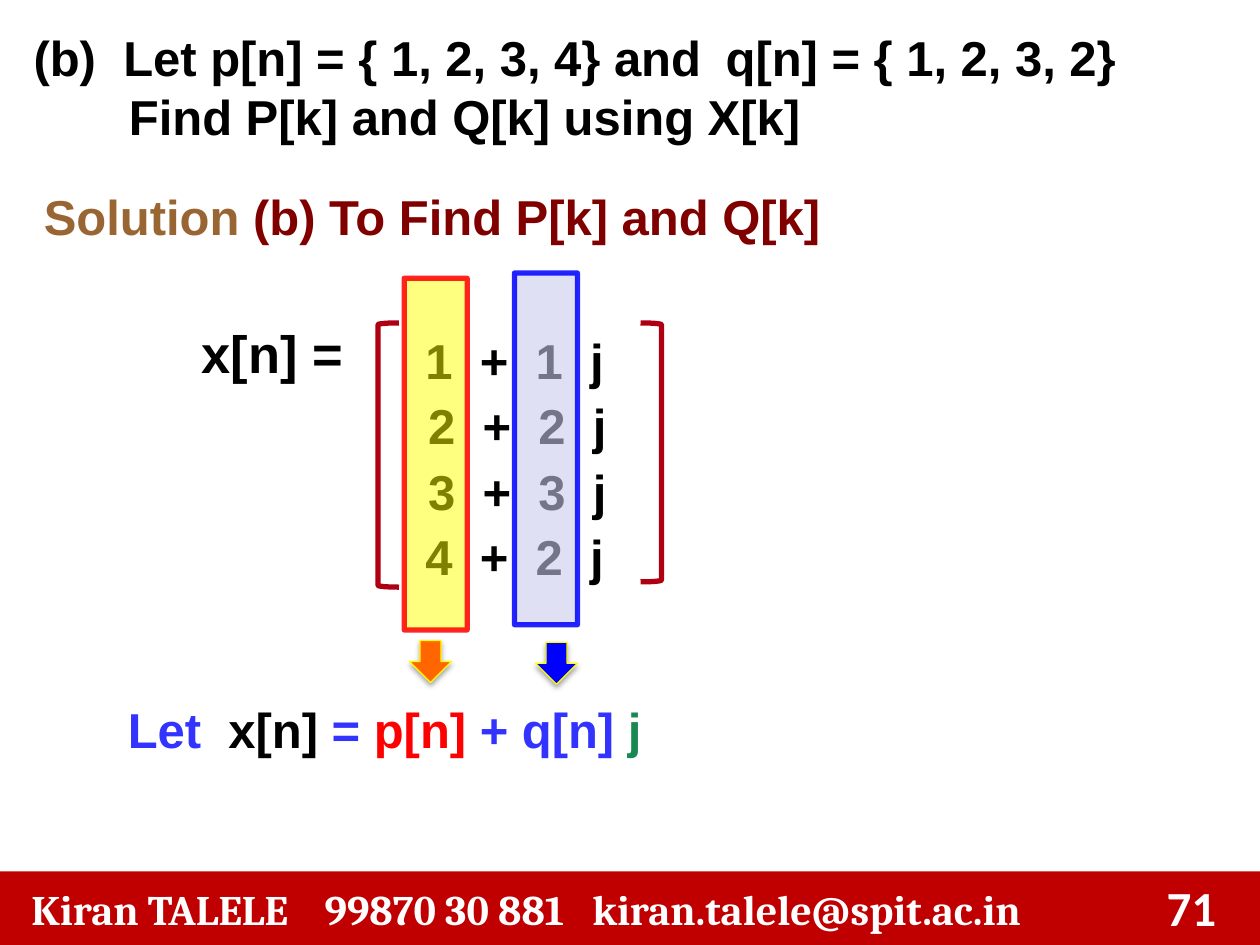
from dataclasses import dataclass

from lxml import etree
from pptx import Presentation
from pptx import util as u
from pptx.dml.color import RGBColor
from pptx.enum import shapes, text
from pptx.oxml.ns import qn

Pt = u.Pt
Kind = shapes.MSO_SHAPE


@dataclass(frozen=True)
class Theme:
    sans: str = "Arial"
    serif: str = "Cambria"
    num: str = "Calibri"
    body: int = 28
    large: int = 30
    small: int = 24
    black: str = "000000"
    white: str = "FFFFFF"
    red: str = "FF0000"
    blue: str = "0000FF"
    violet: str = "3333FF"
    green: str = "198952"
    brown: str = "996633"
    maroon: str = "800000"
    crimson: str = "AF0013"
    footer: str = "C00000"
    orange: str = "FF6600"
    yellow: str = "FFFF00"
    lilac: str = "CBCBEF"


T = Theme()


@dataclass(frozen=True)
class Box:
    x: float
    y: float
    w: float
    h: float

    def pts(self) -> tuple:
        return Pt(self.x), Pt(self.y), Pt(self.w), Pt(self.h)


@dataclass(frozen=True)
class Row:
    x: float
    real: str
    imag: str


@dataclass(frozen=True)
class Band:
    box: Box
    fill: str
    alpha: int
    line: str


@dataclass(frozen=True)
class Arrow:
    x: float
    y: float
    fill: str


def style(para, size: int = T.body, font: str = T.sans, color: str = T.black) -> None:
    for run in para.runs:
        run.font.size, run.font.name, run.font.bold = Pt(size), font, True
        run.font.color.rgb = RGBColor.from_string(color)


def tabs(para, stops: list) -> None:
    """Set left tab stops, measured from the start of the text."""
    items = etree.SubElement(para._p.get_or_add_pPr(), qn("a:tabLst"))
    for stop in stops:
        etree.SubElement(items, qn("a:tab"), pos=str(Pt(stop)), algn="l")


def label(slide, box: Box, words: str, **look):
    """Add a one-paragraph text box and return its paragraph."""
    frame = slide.shapes.add_textbox(*box.pts()).text_frame
    frame.word_wrap = True
    frame.text = words
    para = frame.paragraphs[0]
    style(para, **look)
    return para


def tint(para, parts: list) -> None:
    """Give each part of the paragraph its own colour."""
    para.text = ""
    for words, color in parts:
        run = para.add_run()
        run.text = words
        run.font.size, run.font.name, run.font.bold = Pt(T.body), T.sans, True
        run.font.color.rgb = RGBColor.from_string(color)


def fade(fill, percent: int) -> None:
    """Make a solid fill partly transparent."""
    color = fill._xPr.find(qn("a:solidFill"))[0]
    etree.SubElement(color, qn("a:alpha"), val=str(percent * 1000))


def shape(slide, kind, box: Box, fill: str = "", line: str = "", width: float = 3):
    item = slide.shapes.add_shape(kind, *box.pts())
    item.shadow.inherit = False
    if fill:
        item.fill.solid()
        item.fill.fore_color.rgb = RGBColor.from_string(fill)
    else:
        item.fill.background()
    if line:
        item.line.color.rgb = RGBColor.from_string(line)
        item.line.width = Pt(width)
    else:
        item.line.fill.background()
    return item


def arrow(slide, mark: Arrow) -> None:
    item = shape(slide, Kind.DOWN_ARROW, Box(mark.x, mark.y, 24, 24), mark.fill, T.yellow, 0.75)
    glow = etree.SubElement(
        item._element.spPr.find(qn("a:effectLst")), qn("a:outerShdw"),
        blurRad=str(Pt(3.1)), dist=str(Pt(1.8)), dir="5400000", rotWithShape="0")
    color = etree.SubElement(glow, qn("a:srgbClr"), val=T.black)
    etree.SubElement(color, qn("a:alpha"), val="35000")


def band(slide, mark: Band) -> None:
    item = shape(slide, Kind.RECTANGLE, mark.box, mark.fill, mark.line)
    fade(item.fill, mark.alpha)
    fade(item.line.fill, 85)


def footer(slide) -> None:
    bar = shape(slide, Kind.RECTANGLE, Box(0, 498, 720, 42), T.footer)
    frame = bar.text_frame
    frame.margin_left = Pt(18)
    frame.text = "Kiran TALELE\t99870 30 881\tkiran.talele@spit.ac.in"
    para = frame.paragraphs[0]
    tabs(para, [167.5, 320.5])
    para.alignment = text.PP_ALIGN.LEFT
    style(para, T.small, T.serif, T.white)
    page = label(slide, Box(653, 498, 49, 44), "71", font=T.num, color=T.white)
    page.alignment = text.PP_ALIGN.RIGHT


def heading(slide) -> None:
    title = slide.shapes.title
    title.left, title.top, title.width, title.height = Box(12, 12, 708, 72).pts()
    frame = title.text_frame
    frame.text = ("(b)\tLet p[n] = { 1, 2, 3, 4} and\tq[n] = { 1, 2, 3, 2}\n"
                  "Find P[k] and Q[k] using X[k]")
    frame.auto_size = text.MSO_AUTO_SIZE.NONE
    frame.vertical_anchor = text.MSO_ANCHOR.TOP
    first, second = frame.paragraphs
    tabs(first, [51.3, 395.5])
    second._p.get_or_add_pPr().set("marL", str(Pt(54.5)))
    for para in frame.paragraphs:
        para.alignment = text.PP_ALIGN.LEFT
        style(para)


def matrix(slide) -> None:
    shape(slide, Kind.LEFT_BRACKET, Box(216, 184.5, 12, 151), line=T.crimson)
    shape(slide, Kind.RIGHT_BRACKET, Box(366, 184.5, 12, 148), line=T.crimson)
    rows = [Row(236, "1", "1"), Row(237.6, "2", "2"), Row(237.6, "3", "3"), Row(236, "4", "2")]
    for i, row in enumerate(rows):
        box = Box(row.x, 168.5 + 37.4 * i, 150, 55)
        para = label(slide, box, f"{row.real}\t+\t{row.imag}\tj")
        tabs(para, [31.1, 63, 94.2])
        para.line_spacing = 1.5
    name = label(slide, Box(108, 162, 108, 73), "x[n] =", size=T.large)
    name.line_spacing = 1.5


def main() -> None:
    deck = Presentation()
    deck.slide_width, deck.slide_height = Pt(720), Pt(540)
    slide = deck.slides.add_slide(deck.slide_layouts[5])

    footer(slide)
    heading(slide)

    # Solution line
    para = label(slide, Box(18, 103, 522, 41), "")
    tint(para, [("Solution ", T.brown), ("(b) To Find P[k] and Q[k]", T.maroon)])

    # Arrows down to the sum of both sequences
    for mark in (Arrow(234, 366, T.orange), Arrow(306, 367, T.blue)):
        arrow(slide, mark)
    para = label(slide, Box(66, 396, 324, 48), "")
    tint(para, [("Let\t", T.violet), ("x[n]", T.black), (" = ", T.violet),
                ("p[n]", T.red), (" + q[n] ", T.violet), ("j", T.green)])
    tabs(para, [57.5])

    # Complex column with its real and imaginary parts marked
    matrix(slide)
    for mark in (Band(Box(231, 159, 36, 201), T.yellow, 50, T.red),
                 Band(Box(294, 156, 36, 201), T.lilac, 58, T.blue)):
        band(slide, mark)

    deck.save("out.pptx")


if __name__ == "__main__":
    main()
